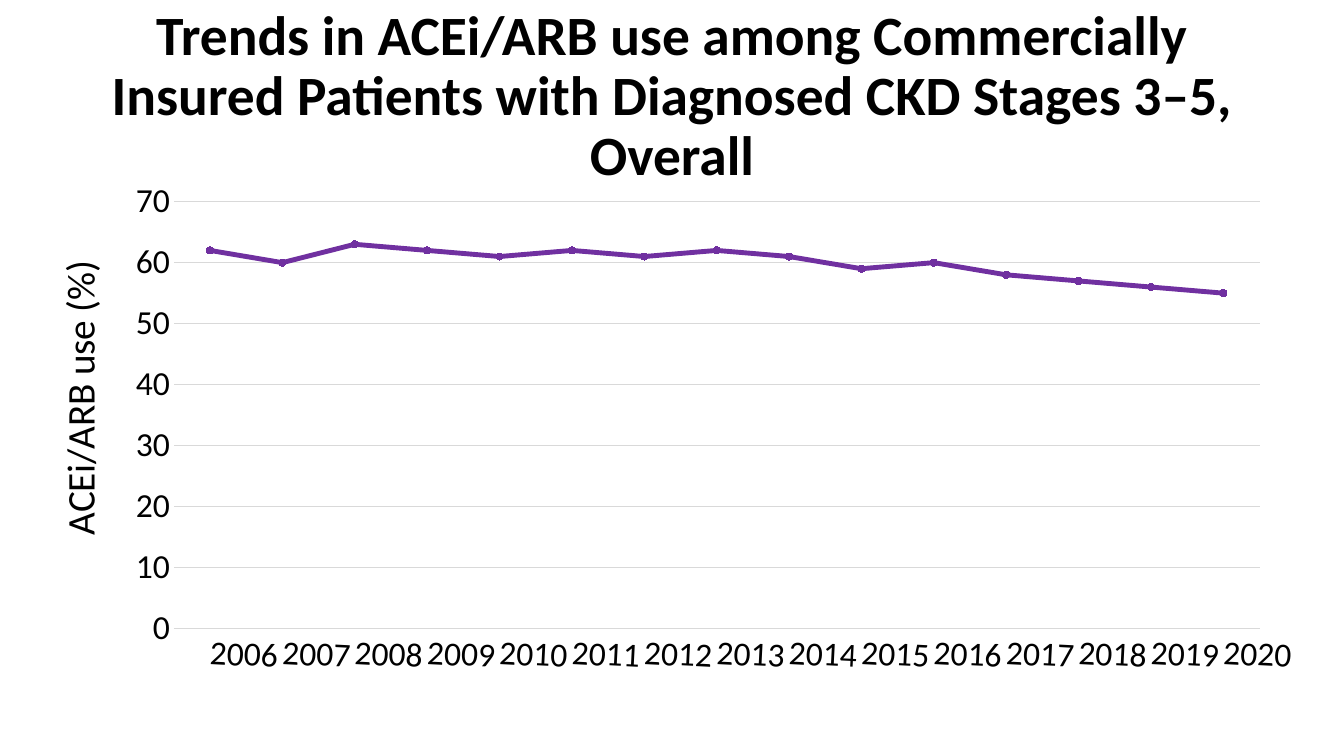
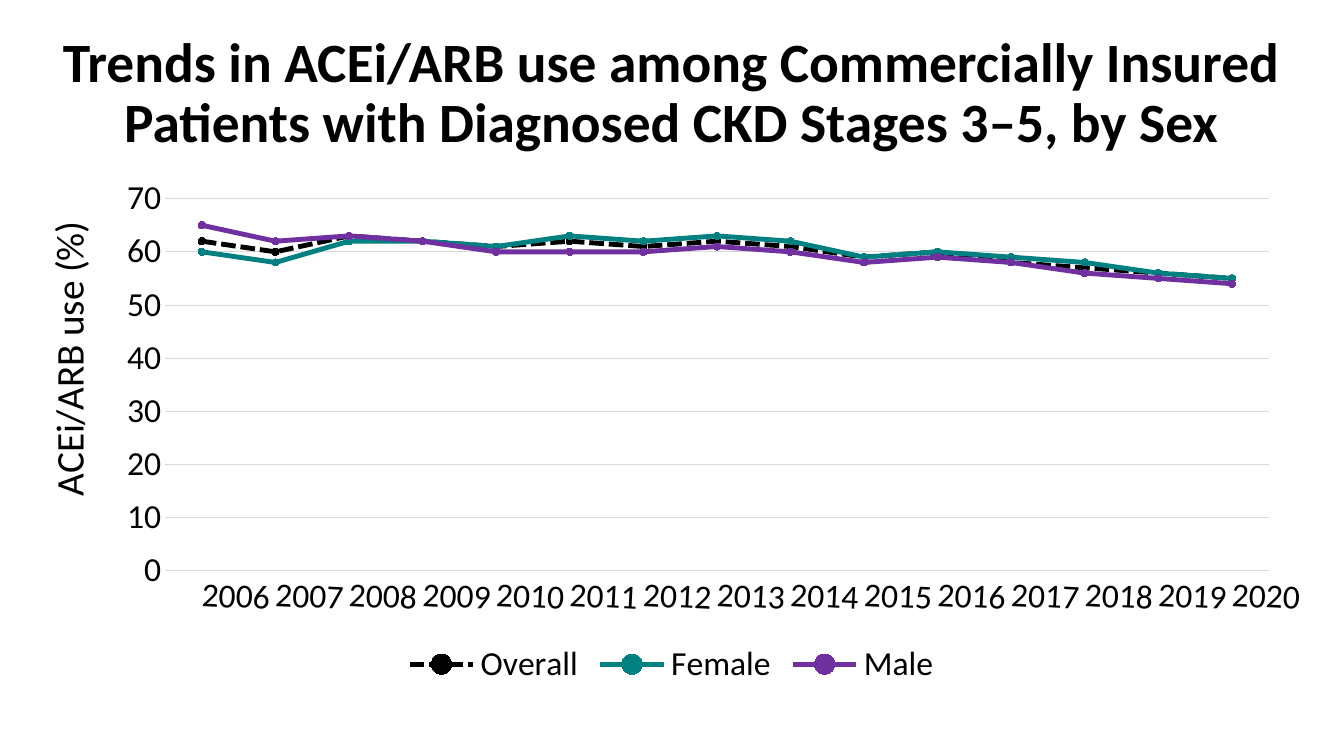
from pptx import Presentation
from pptx.chart.data import CategoryChartData
from pptx.dml.color import RGBColor
from pptx.enum.chart import XL_CHART_TYPE, XL_LEGEND_POSITION, XL_MARKER_STYLE, XL_TICK_MARK
from pptx.enum.dml import MSO_LINE
from pptx.enum.text import MSO_ANCHOR, MSO_AUTO_SIZE, PP_ALIGN
from pptx.oxml import parse_xml
from pptx.oxml.ns import nsdecls, qn
from pptx.util import Inches, Pt

LINE_MARKERS = XL_CHART_TYPE.LINE_MARKERS
CIRCLE = XL_MARKER_STYLE.CIRCLE
NO_TICKS = XL_TICK_MARK.NONE
BOTTOM = XL_LEGEND_POSITION.BOTTOM
DASHED = MSO_LINE.SQUARE_DOT

BLACK = RGBColor(0x00, 0x00, 0x00)
TEAL = RGBColor(0x00, 0x80, 0x80)
PURPLE = RGBColor(0x70, 0x30, 0xA0)
GRID_GREY = RGBColor(0xD9, 0xD9, 0xD9)
FONT = "Calibri"

TITLE_STEM = "Trends in ACEi/ARB use among Commercially Insured Patients with Diagnosed CKD Stages 3–5, "
YEARS = [str(year) for year in range(2006, 2021)]
OVERALL = [62, 60, 63, 62, 61, 62, 61, 62, 61, 59, 60, 58, 57, 56, 55]
FEMALE = [60, 58, 62, 62, 61, 63, 62, 63, 62, 59, 60, 59, 58, 56, 55]
MALE = [65, 62, 63, 62, 60, 60, 60, 61, 60, 58, 59, 58, 56, 55, 54]

# Boxes are left, top, width, height in inches; plot and axis title are fractions of the chart.
SLIDES = [
    {
        "group": "Overall",
        "title_box": (0.62, 0.24, 12.09, 1.45),
        "chart_box": (0.33, 1.69, 12.67, 5.17),
        "plot": {"x": 0.11, "y": 0.06, "w": 0.85, "h": 0.82},
        "axis_title": {"x": 0.01, "y": 0.16},
        "series": [("Series 1", OVERALL, PURPLE, None)],
    },
    {
        "group": "by Sex",
        "title_box": (0.22, 0.21, 12.88, 1.45),
        "chart_box": (0.22, 1.66, 12.88, 5.2),
        "plot": {"x": 0.11, "y": 0.06, "w": 0.85, "h": 0.71},
        "axis_title": {"x": 0.01, "y": 0.09},
        "series": [
            ("Overall", OVERALL, BLACK, DASHED),
            ("Female", FEMALE, TEAL, None),
            ("Male", MALE, PURPLE, None),
        ],
    },
]


def set_font(font, size, bold=False):
    font.name = FONT
    font.size = Pt(size)
    font.bold = bold
    font.color.rgb = BLACK


def place_in_chart(element, index, fractions):
    """Give a chart part a manual layout, as child number index."""
    old_layout = element.find(qn("c:layout"))
    if old_layout is not None:
        element.remove(old_layout)
    target = '<c:layoutTarget val="inner"/>' if "w" in fractions else ""
    modes = "".join(f'<c:{side}Mode val="edge"/>' for side in "xy")
    values = "".join(f'<c:{key} val="{value}"/>' for key, value in fractions.items())
    element.insert(index, parse_xml(
        f'<c:layout {nsdecls("c")}><c:manualLayout>{target}{modes}{values}</c:manualLayout></c:layout>'))


prs = Presentation()
prs.slide_width = Inches(13.33)
prs.slide_height = Inches(7.5)
title_only = prs.slide_layouts[5]

for content in SLIDES:
    slide = prs.slides.add_slide(title_only)

    title = slide.shapes.title
    title.left, title.top, title.width, title.height = map(Inches, content["title_box"])
    title.text_frame.text = TITLE_STEM + content["group"]
    title.text_frame.word_wrap = True
    title.text_frame.auto_size = MSO_AUTO_SIZE.NONE
    title.text_frame.vertical_anchor = MSO_ANCHOR.MIDDLE
    heading = title.text_frame.paragraphs[0]
    heading.alignment = PP_ALIGN.CENTER
    heading.line_spacing = 0.9
    set_font(heading.font, 39.6, bold=True)

    usage = CategoryChartData(number_format="0")
    usage.categories = YEARS
    for name, values, _, _ in content["series"]:
        usage.add_series(name, values)
    chart = slide.shapes.add_chart(LINE_MARKERS, *map(Inches, content["chart_box"]), usage).chart
    set_font(chart.font, 10)
    chart.has_title = False
    place_in_chart(chart._chartSpace.chart.plotArea, 0, content["plot"])

    chart.has_legend = len(content["series"]) > 1
    if chart.has_legend:
        chart.legend.position = BOTTOM
        chart.legend.include_in_layout = False
        set_font(chart.legend.font, 24)

    chart.plots[0].vary_by_categories = False
    for series, (_, _, color, dash) in zip(chart.plots[0].series, content["series"]):
        series.smooth = False
        series.format.line.color.rgb = color
        series.format.line.width = Pt(3.5)
        if dash:
            series.format.line.dash_style = dash
        series.marker.style = CIRCLE
        series.marker.size = 5
        series.marker.format.fill.solid()
        series.marker.format.fill.fore_color.rgb = color
        series.marker.format.line.color.rgb = color

    year_axis, percent_axis = chart.category_axis, chart.value_axis
    for axis in (year_axis, percent_axis):
        axis.major_tick_mark = axis.minor_tick_mark = NO_TICKS
        set_font(axis.tick_labels.font, 24)
    # Tilt the year labels by three degrees so that they all fit.
    year_axis._element.txPr.find(qn("a:bodyPr")).set("rot", "180000")

    percent_axis.minimum_scale = 0
    percent_axis.maximum_scale = 70
    percent_axis.major_unit = 10
    percent_axis.tick_labels.number_format = "0"
    percent_axis.tick_labels.number_format_is_linked = False
    percent_axis.format.line.fill.background()
    for line in (year_axis.format.line, percent_axis.major_gridlines.format.line):
        line.color.rgb = GRID_GREY
        line.width = Pt(0.75)

    axis_title = percent_axis.axis_title
    axis_title.text_frame.text = "ACEi/ARB use (%)"
    set_font(axis_title.text_frame.paragraphs[0].font, 28)
    axis_title.text_frame._txBody.find(qn("a:bodyPr")).set("rot", "-5400000")
    place_in_chart(axis_title._element, 1, content["axis_title"])

prs.save("out.pptx")
